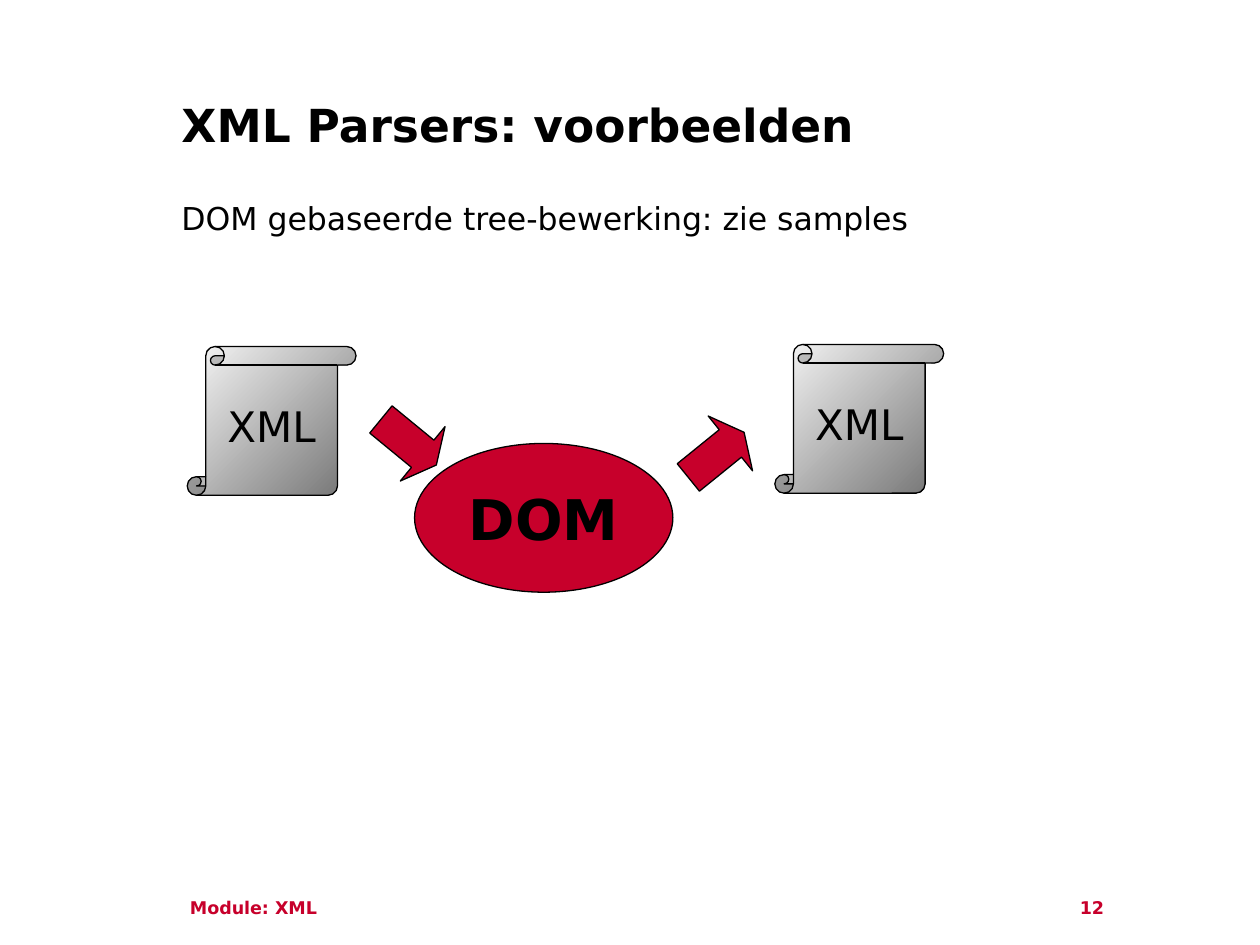
from pptx import Presentation
from pptx import util as u
from pptx.dml import color
from pptx.enum import shapes, text

FONT = "DejaVu Sans"
RED, BLACK = "C7002B", "000000"
LIGHT, DARK = "F8F8F8", "737373"


def rgb(value):
    return color.RGBColor.from_string(value)


def write(sp, content, size, ink=BLACK, bold=False, align=text.PP_ALIGN.LEFT):
    tf = sp.text_frame
    tf.text = content
    p = tf.paragraphs[0]
    p.alignment = align
    p.space_before = u.Pt(0)
    f = p.runs[0].font
    f.name, f.size, f.bold = FONT, u.Pt(size), bold
    f.color.rgb = rgb(ink)
    return p


def fill_placeholder(sp, box, content, size, top, bold=False):
    sp.left, sp.top, sp.width, sp.height = map(u.Pt, box)
    tf = sp.text_frame
    tf.vertical_anchor = text.MSO_ANCHOR.TOP
    tf.margin_top = u.Pt(top)
    return write(sp, content, size, bold=bold)


def add_footer(s, x, width, content):
    sp = s.shapes.add_textbox(u.Pt(x), u.Pt(509), u.Pt(width), u.Pt(20))
    sp.text_frame.word_wrap = True
    write(sp, content, 10, RED, True)


def add_figure(s, kind, x, y, width, height):
    sp = s.shapes.add_shape(kind, u.Pt(x), u.Pt(y), u.Pt(width), u.Pt(height))
    sp.shadow.inherit = False
    sp.fill.solid()
    sp.fill.fore_color.rgb = rgb(RED)
    sp.line.color.rgb = rgb(BLACK)
    sp.line.width = u.Pt(0.75)
    return sp


def add_label(sp, content, size, bold=False):
    sp.text_frame.word_wrap = False
    sp.text_frame.vertical_anchor = text.MSO_ANCHOR.MIDDLE
    write(sp, content, size, bold=bold, align=text.PP_ALIGN.CENTER)


def add_scroll(s, x, y):
    sp = add_figure(s, shapes.MSO_SHAPE.VERTICAL_SCROLL, x, y, 96.5, 85)
    sp.fill.gradient()
    sp.fill.gradient_angle = 315
    for stop, shade in zip(sp.fill.gradient_stops, (LIGHT, DARK)):
        stop.color.rgb = rgb(shade)
    add_label(sp, "XML", 24)


def add_arrow(s, x, y, angle):
    sp = add_figure(s, shapes.MSO_SHAPE.RIGHT_ARROW, x, y, 41, 40.3)
    sp.adjustments[1] = 0.25
    sp.rotation = angle


def main():
    prs = Presentation()
    prs.slide_width, prs.slide_height = u.Pt(720), u.Pt(540)
    s = prs.slides.add_slide(prs.slide_layouts[1])

    # Title and body
    title, body = s.placeholders
    fill_placeholder(title, (96.5, 49.7, 533.5, 46), "XML Parsers: voorbeelden", 26, 6, True)
    p = fill_placeholder(body, (96.5, 108.7, 533.5, 325.5),
                         "DOM gebaseerde tree-bewerking: zie samples", 18, 5)
    pPr = p._p.get_or_add_pPr()
    pPr.set("marL", str(u.Pt(18)))
    pPr.set("indent", str(-u.Pt(18)))
    pPr.append(pPr.makeelement(
        "{http://schemas.openxmlformats.org/drawingml/2006/main}buNone", {}))

    # Footer and slide number
    add_footer(s, 101.5, 382, "Module: XML")
    add_footer(s, 610, 71, "12")

    # XML in, DOM tree, XML out
    dom = add_figure(s, shapes.MSO_SHAPE.OVAL, 236.9, 253.4, 147.6, 85)
    add_label(dom, "DOM", 32, True)
    add_scroll(s, 107, 198)
    add_arrow(s, 213, 232.6, 39.4)
    add_arrow(s, 388.8, 239.8, 321)
    add_scroll(s, 442.8, 196.8)

    prs.save("out.pptx")


if __name__ == "__main__":
    main()
